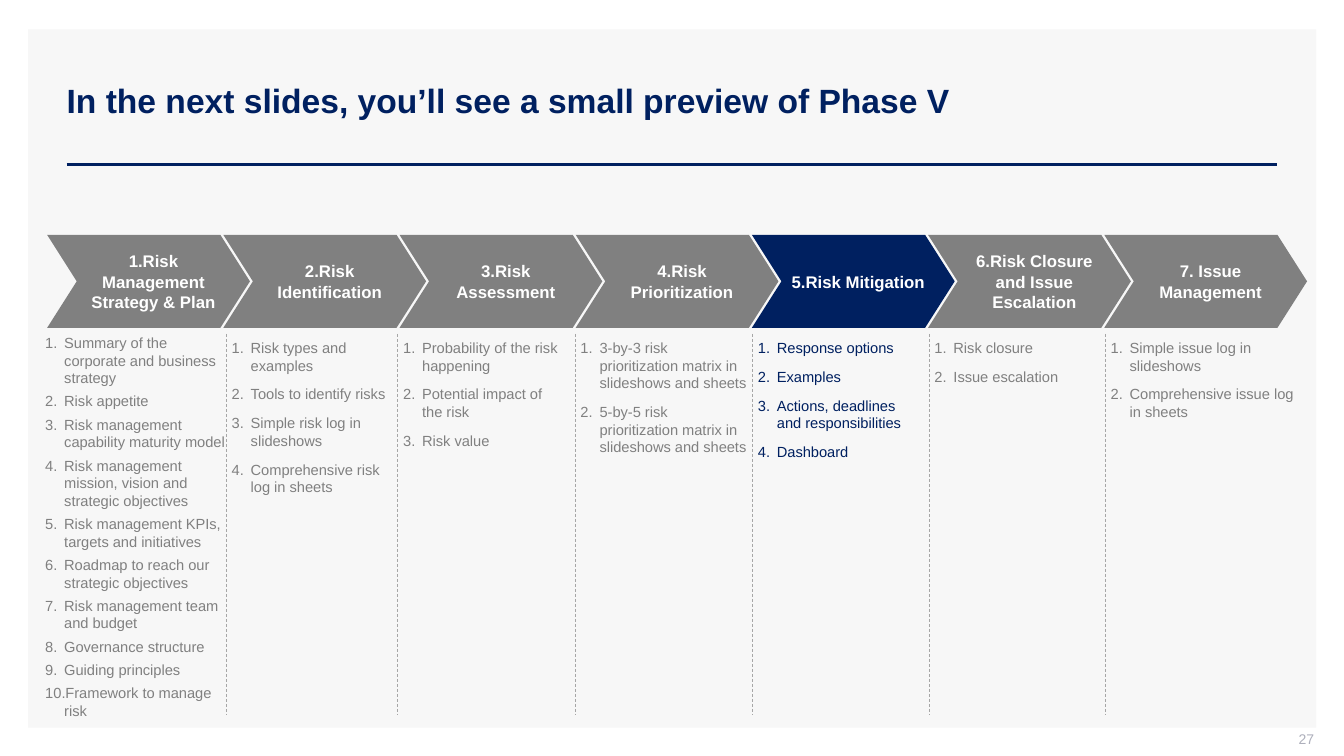
from lxml import etree
from pptx import Presentation, util as u
from pptx.dml.color import RGBColor
from pptx.enum import dml, shapes, text
from pptx.oxml.ns import qn

COLORS = {
    "panel": "F7F7F7", "navy": "002060", "grey": "808080",
    "white": "FFFFFF", "divider": "A6A6A6", "number": "ADAFBB",
}
FONT = "Arial"
ACTIVE_PHASE = 4

# Heading, list box (left, top, width, height in cm), paragraph gap in points, items
PHASES = [
    ("1.Risk Management Strategy & Plan", (1.14, 8.28, 4.83, 10.06), 2, [
        "Summary of the corporate and business strategy",
        "Risk appetite",
        "Risk management capability maturity model",
        "Risk management mission, vision and strategic objectives",
        "Risk management KPIs, targets and initiatives",
        "Roadmap to reach our strategic objectives",
        "Risk management team and budget",
        "Governance structure",
        "Guiding principles",
        "Framework to manage risk"]),
    ("2.Risk Identification", (5.84, 8.41, 4.32, 4.98), 4, [
        "Risk types and examples",
        "Tools to identify risks",
        "Simple risk log in slideshows",
        "Comprehensive risk log in sheets"]),
    ("3.Risk Assessment", (10.16, 8.41, 4.34, 3.81), 4, [
        "Probability of the risk happening",
        "Potential impact of the risk",
        "Risk value"]),
    ("4.Risk Prioritization", (14.63, 8.41, 4.47, 3.23), 4, [
        "3-by-3 risk prioritization matrix in slideshows and sheets",
        "5-by-5 risk prioritization matrix in slideshows and sheets"]),
    ("5.Risk Mitigation", (19.1, 8.41, 4.27, 4.09), 4, [
        "Response options",
        "Examples",
        "Actions, deadlines and responsibilities",
        "Dashboard"]),
    ("6.Risk Closure and Issue Escalation", (23.55, 8.41, 4.88, 1.45), 4, [
        "Risk closure",
        "Issue escalation"]),
    ("7. Issue Management", (27.99, 8.41, 4.88, 3.07), 4, [
        "Simple issue log in slideshows",
        "Comprehensive issue log in sheets"]),
]


def color(name):
    return RGBColor.from_string(COLORS[name])


def lengths(box):
    return [u.Cm(value) for value in box]


def format_paragraph(paragraph, size, color_name, bold=False, align=text.PP_ALIGN.LEFT):
    paragraph.alignment = align
    for run in paragraph.runs:
        run.font.name = FONT
        run.font.size = u.Pt(size)
        run.font.bold = bold
        run.font.color.rgb = color(color_name)


def set_frame(frame, margins, anchor):
    frame.word_wrap = True
    frame.vertical_anchor = anchor
    (frame.margin_left, frame.margin_top,
     frame.margin_right, frame.margin_bottom) = lengths(margins)


def add_filled_shape(slide, kind, box, color_name):
    shape = slide.shapes.add_shape(kind, *lengths(box))
    shape.shadow.inherit = False
    shape.fill.solid()
    shape.fill.fore_color.rgb = color(color_name)
    shape.line.fill.background()
    return shape


def add_line(slide, start, end, color_name, width, dash=None):
    line = slide.shapes.add_connector(
        shapes.MSO_CONNECTOR.STRAIGHT, *lengths(start + end))
    line.line.color.rgb = color(color_name)
    line.line.width = u.Pt(width)
    if dash:
        line.line.dash_style = dash
    etree.SubElement(line._element.spPr, qn("a:effectLst"))


def add_panel(slide, box):
    """Light panel behind everything else."""
    panel = add_filled_shape(slide, shapes.MSO_SHAPE.RECTANGLE, box, "panel")
    slide.shapes._spTree.insert(2, panel._element)


def add_title(slide, box, wording):
    """Title with the rule below it."""
    left, top, width, height = box
    title = slide.shapes.title
    title.left, title.top, title.width, title.height = lengths(box)
    frame = title.text_frame
    frame.text = wording
    set_frame(frame, (0.25, 0.13, 0.25, 0.13), text.MSO_ANCHOR.MIDDLE)
    frame.auto_size = text.MSO_AUTO_SIZE.NONE
    format_paragraph(frame.paragraphs[0], 24, "navy", bold=True)
    rule_y = top + height + 0.1
    add_line(slide, (left + 0.25, rule_y), (left + width, rule_y), "navy", 2)


def add_chevron(slide, box, wording, color_name):
    chevron = add_filled_shape(slide, shapes.MSO_SHAPE.CHEVRON, box, color_name)
    chevron.adjustments[0] = 0.318
    frame = chevron.text_frame
    frame.text = wording
    set_frame(frame, (0.25, 0.13, 0, 0.13), text.MSO_ANCHOR.MIDDLE)
    format_paragraph(frame.paragraphs[0], 12, "white", bold=True,
                     align=text.PP_ALIGN.CENTER)


def add_numbered_list(slide, box, items, gap, color_name):
    frame = slide.shapes.add_textbox(*lengths(box)).text_frame
    frame.text = "\n".join(items)
    set_frame(frame, (0, 0.13, 0.25, 0.13), text.MSO_ANCHOR.TOP)
    frame.auto_size = text.MSO_AUTO_SIZE.SHAPE_TO_FIT_TEXT
    for index, paragraph in enumerate(frame.paragraphs):
        properties = paragraph._p.get_or_add_pPr()
        properties.set("marL", str(u.Cm(0.48)))
        properties.set("indent", str(-u.Cm(0.48)))
        numbering = etree.SubElement(properties, qn("a:buAutoNum"))
        numbering.set("type", "arabicPeriod")
        if index:
            paragraph.space_before = u.Pt(gap)
        paragraph.space_after = u.Pt(gap)
        format_paragraph(paragraph, 10.5, color_name)


def add_phases(slide, box, pitch):
    """Row of chevrons; box is the first one, pitch the step to the next."""
    left, top, width, height = box
    for index, (heading, list_box, gap, items) in enumerate(PHASES):
        color_name = "navy" if index == ACTIVE_PHASE else "grey"
        add_chevron(slide, (left + index * pitch, top, width, height),
                    heading, color_name)
        add_numbered_list(slide, list_box, items, gap, color_name)
        if index:
            x = list_box[0] - 0.14
            add_line(slide, (x, top + 2.49), (x, top + 12.09),
                     "divider", 0.5, dml.MSO_LINE.DASH)


def add_slide_number(slide, box, number):
    frame = slide.shapes.add_textbox(*lengths(box)).text_frame
    frame.text = number
    set_frame(frame, (0.25, 0, 0, 0.13), text.MSO_ANCHOR.MIDDLE)
    format_paragraph(frame.paragraphs[0], 10, "number", align=text.PP_ALIGN.RIGHT)


def main():
    presentation = Presentation()
    presentation.slide_width = u.Cm(33.87)
    presentation.slide_height = u.Cm(19.05)
    slide = presentation.slides.add_slide(presentation.slide_layouts[5])
    add_panel(slide, (0.71, 0.74, 32.46, 17.6))
    add_title(slide, (1.43, 1.02, 30.76, 3.02),
              "In the next slides, you’ll see a small preview of Phase V")
    add_phases(slide, (1.19, 5.92, 5.11, 2.34), 4.44)
    add_slide_number(slide, (25.5, 18.42, 7.62, 0.53), "27")
    presentation.save("out.pptx")


if __name__ == "__main__":
    main()
